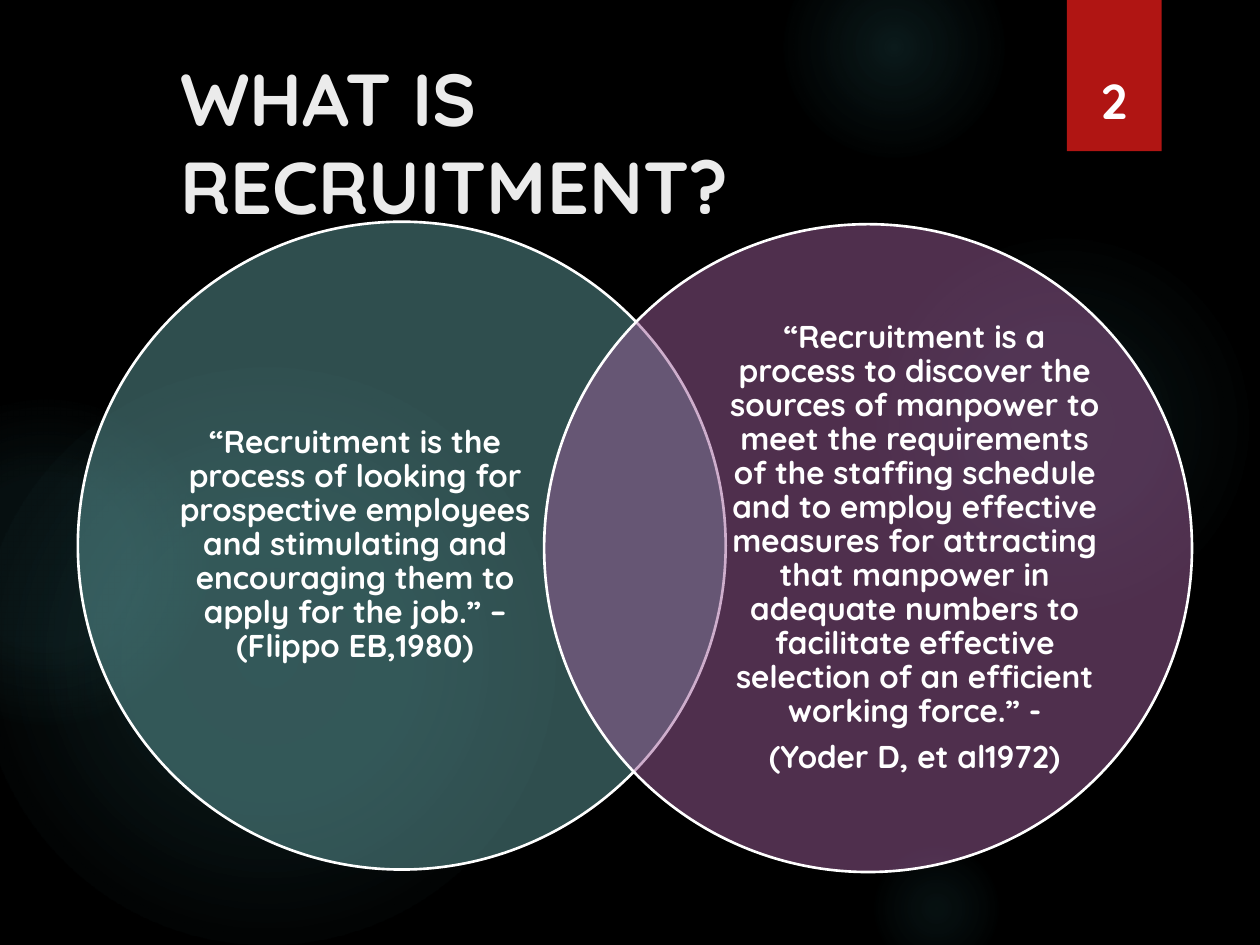
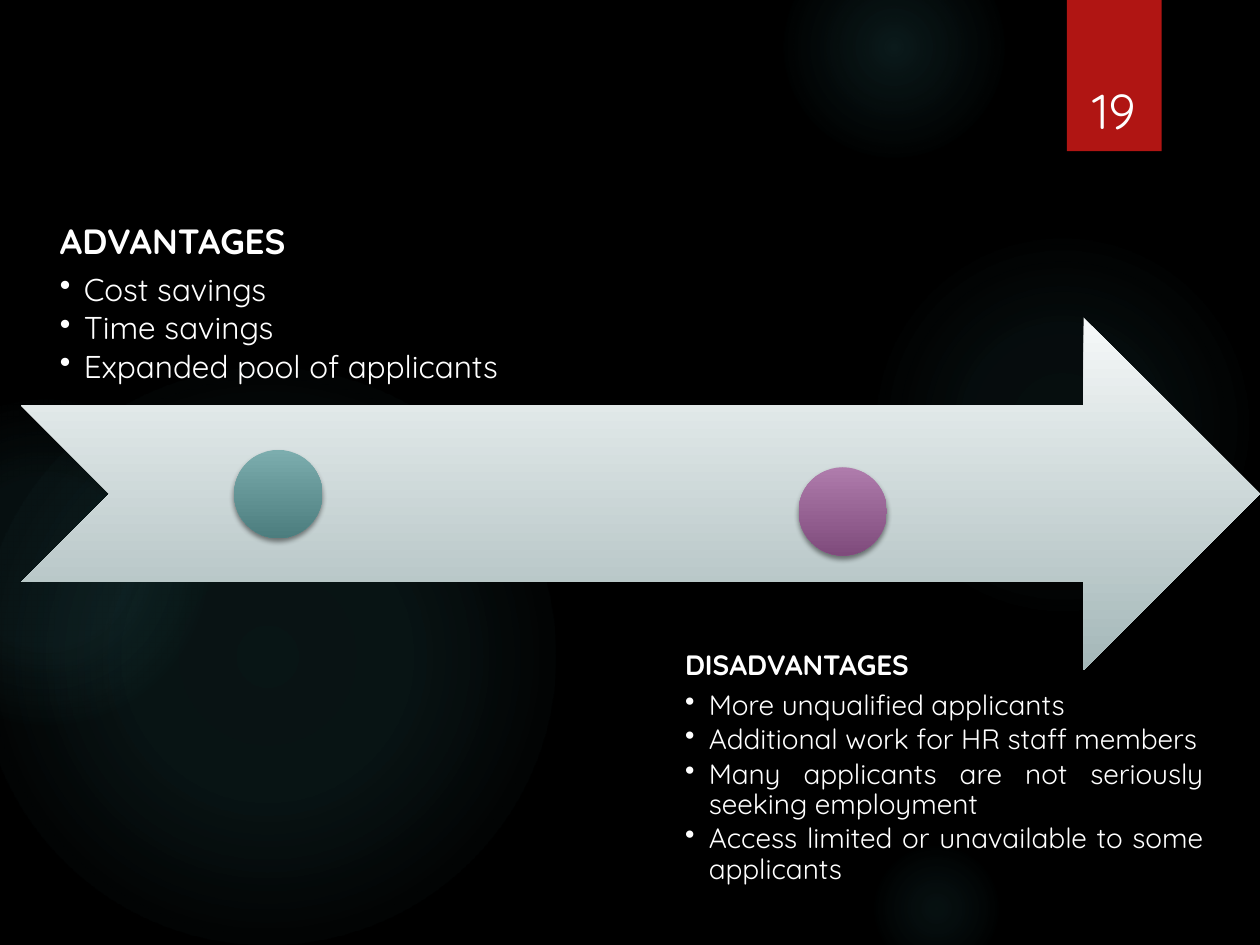
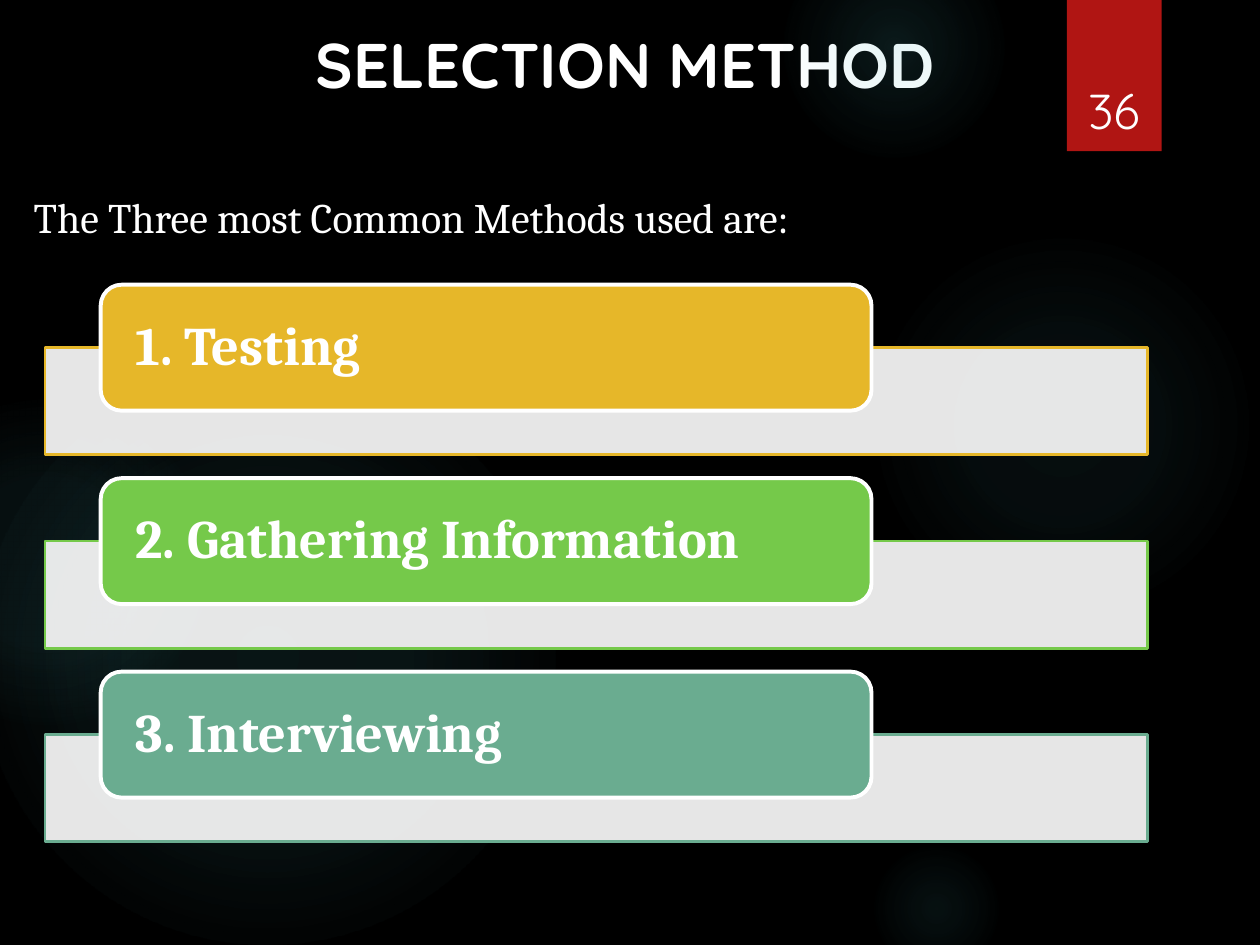
from lxml.etree import SubElement
from pptx import Presentation
from pptx.dml.color import RGBColor
from pptx.enum.shapes import MSO_SHAPE as Preset
from pptx.enum.text import MSO_ANCHOR as Anchor, MSO_AUTO_SIZE as AutoSize, PP_ALIGN as Align
from pptx.oxml.ns import qn
from pptx.util import Cm, Pt

SANS, SERIF = "Quicksand", "Cambria"
WHITE, BLACK, TITLE_GREY = "FFFFFF", "000000", "EBEBEB"
RED, GLOW = "B01513", "50B9C1"
TEAL, PLUM = "5F9C9D", "9E5E9B"
TITLE_ONLY, BLANK = 5, 6

# left, top, diameter, then (position, opacity) stops in percent
GLOWS = [
    (17.5, 4.65, 7.82, [(0, 7), (36, 6), (69, 0)]),
    (15.8, -1.27, 4.45, [(0, 14), (36, 7), (73, 0)]),
    (17.5, 16.94, 2.74, [(0, 9), (36, 5), (66, 0)]),
    (-0.43, 7.42, 11.63, [(0, 11), (36, 10), (75, 0)]),
    (-2.34, 8.05, 6.55, [(0, 8), (36, 8), (72, 0)]),
]


def rgb(color):
    return RGBColor.from_string(color)


def add_xml(parent, tag, **attributes):
    return SubElement(parent, qn(tag), {k: str(v) for k, v in attributes.items()})


def add_color(parent, color, opacity=100):
    element = add_xml(parent, "a:srgbClr", val=color)
    if opacity < 100:
        add_xml(element, "a:alpha", val=opacity * 1000)


# Shapes
def add_shape(slide, preset, box, fill=None, opacity=100, line=None, line_width=1.5):
    shape = slide.shapes.add_shape(preset, *map(Cm, box))
    shape.shadow.inherit = False
    if fill:
        shape.fill.solid()
        shape.fill.fore_color.rgb = rgb(fill)
        if opacity < 100:
            color = shape.fill._xPr.find(qn("a:solidFill"))[0]
            add_xml(color, "a:alpha", val=opacity * 1000)
    if line:
        shape.line.color.rgb = rgb(line)
        shape.line.width = Pt(line_width)
    else:
        shape.line.fill.background()
    return shape


def set_gradient(shape, stops, radial=False):
    """Fill with (position, color, opacity) stops, downwards or from the centre."""
    gradient = add_xml(shape._element.spPr, "a:gradFill", rotWithShape=1)
    stop_list = add_xml(gradient, "a:gsLst")
    for position, color, opacity in stops:
        add_color(add_xml(stop_list, "a:gs", pos=position * 1000), color, opacity)
    if radial:
        centre = add_xml(gradient, "a:path", path="circle")
        add_xml(centre, "a:fillToRect", l=50000, t=50000, r=50000, b=50000)
    else:
        add_xml(gradient, "a:lin", ang=5400000, scaled=0)
    shape._element.spPr.find(qn("a:prstGeom")).addnext(gradient)


def set_shadow(shape):
    effects = shape._element.spPr.find(qn("a:effectLst"))
    shadow = add_xml(effects, "a:outerShdw", blurRad=Pt(3), dist=Pt(2),
                     dir=5400000, rotWithShape=0)
    add_color(shadow, BLACK, 45)


def add_dot(slide, left, top, light, dark):
    dot = add_shape(slide, Preset.OVAL, (left, top, 1.78, 1.78))
    set_gradient(dot, [(0, light, 100), (100, dark, 100)])
    set_shadow(dot)


# Text
def format_frame(shape, anchor=Anchor.TOP, insets=(0.25, 0.13)):
    frame = shape.text_frame
    frame.word_wrap = True
    frame.auto_size = AutoSize.NONE
    frame.vertical_anchor = anchor
    frame.margin_left = frame.margin_right = Cm(insets[0])
    frame.margin_top = frame.margin_bottom = Cm(insets[1])
    return frame


def add_frame(slide, box, anchor=Anchor.TOP, insets=(0.25, 0.13)):
    return format_frame(slide.shapes.add_textbox(*map(Cm, box)), anchor, insets)


def write(frame, text, size, font=SANS, color=WHITE, bold=False, align=Align.LEFT,
          spacing=1.0, after=0.0, bullet=False):
    """Write one paragraph; after is a share of the text size."""
    paragraph = frame.paragraphs[0]
    if paragraph.runs:
        paragraph = frame.add_paragraph()
    if bullet:
        properties = paragraph._p.get_or_add_pPr()
        properties.set("marL", str(Cm(0.48)))
        properties.set("indent", str(-Cm(0.48)))
        add_xml(properties, "a:buChar", char="•")
    paragraph.alignment = align
    paragraph.line_spacing = spacing
    paragraph.space_after = Pt(round(size * after, 1))
    run = paragraph.add_run()
    run.text = text
    run.font.name, run.font.size, run.font.bold = font, Pt(size), bold
    run.font.color.rgb = rgb(color)


def add_title(slide, box, text, size, color=WHITE, align=Align.LEFT):
    title = slide.shapes.title
    title.left, title.top, title.width, title.height = map(Cm, box)
    write(format_frame(title), text, size, color=color, bold=True, align=align)


def add_list(slide, box, heading, items, size, heading_size, anchor, insets, align):
    frame = add_frame(slide, box, anchor, insets)
    write(frame, heading, heading_size, bold=True, spacing=0.9, after=0.35)
    for item in items:
        write(frame, item, size, align=align, spacing=0.9, after=0.15, bullet=True)


# Shared backdrop: glows, red band and slide number
def start_slide(presentation, layout, number, number_top=0.81, number_bold=False):
    slide = presentation.slides.add_slide(presentation.slide_layouts[layout])
    slide.background.fill.solid()
    slide.background.fill.fore_color.rgb = rgb(BLACK)
    for left, top, size, stops in GLOWS:
        glow = add_shape(slide, Preset.OVAL, (left, top, size, size))
        set_gradient(glow, [(at, GLOW, opacity) for at, opacity in stops], radial=True)
    set_shadow(add_shape(slide, Preset.RECTANGLE, (21.51, 0, 1.91, 3.05), RED))
    frame = add_frame(slide, (21.58, number_top, 1.75, 2.13), Anchor.BOTTOM)
    write(frame, number, 28, bold=number_bold, align=Align.CENTER)
    return slide


def build_definitions(presentation):
    slide = start_slide(presentation, TITLE_ONLY, "2", 0.61, True)
    add_title(slide, (3.38, 0.94, 17.27, 2.13), "WHAT IS RECRUITMENT?", 42, TITLE_GREY)
    quotes = [
        (1.57, 4.47, TEAL, 3.4, [
            "“Recruitment is the process of looking for prospective employees and "
            "stimulating and encouraging them to apply for the job.” – "
            "(Flippo EB,1980)"]),
        (10.97, 4.52, PLUM, 14.68, [
            "“Recruitment is a process to discover the sources of manpower to meet "
            "the requirements of the staffing schedule and to employ effective "
            "measures for attracting that manpower in adequate numbers to "
            "facilitate effective selection of an efficient working force.” -",
            "(Yoder D, et al1972)"]),
    ]
    for left, top, color, text_left, paragraphs in quotes:
        add_shape(slide, Preset.OVAL, (left, top, 13.06, 13.06), color, 50, WHITE)
        frame = add_frame(slide, (text_left, top + 1.54, 7.52, 9.98),
                          Anchor.MIDDLE, (0, 0))
        for text in paragraphs:
            write(frame, text, 18, bold=True, align=Align.CENTER,
                  spacing=0.9, after=0.35)


def build_pros_and_cons(presentation):
    slide = start_slide(presentation, BLANK, "19")
    arrow = add_shape(slide, Preset.NOTCHED_RIGHT_ARROW, (0.43, 6.4, 24.97, 7.11))
    set_gradient(arrow, [(0, "F6F9F9", 100), (100, "A4B7B8", 100)])
    add_list(slide, (0.43, 1.07, 13, 7.11), "ADVANTAGES",
             ["Cost savings", "Time savings", "Expanded pool of applicants"],
             18, 20, Anchor.BOTTOM, (0.78, 0.41), Align.LEFT)
    add_dot(slide, 4.72, 9.07, "7CADAE", "4C7D7E")
    add_list(slide, (13.13, 12.83, 11.81, 5.66), "DISADVANTAGES",
             ["More unqualified applicants",
              "Additional work for HR staff members",
              "Many applicants are not seriously seeking employment",
              "Access limited or unavailable to some applicants"],
             16, 16, Anchor.TOP, (0.68, 0.3), Align.JUSTIFY)
    add_dot(slide, 16.1, 9.42, "AF7CAC", "7F4B7C")


def build_methods(presentation):
    slide = start_slide(presentation, TITLE_ONLY, "36")
    add_title(slide, (3.81, 0.38, 17.58, 1.8), "SELECTION METHOD", 36,
              align=Align.CENTER)
    intro = add_frame(slide, (0.43, 3.73, 22.66, 1.27))
    write(intro, "The Three most Common Methods used are:", 24, SERIF)
    methods = [("1. Testing", "E6B729"), ("2. Gathering Information", "75C94A"),
               ("3. Interviewing", "6AAC90")]
    for row, (text, color) in enumerate(methods):
        top = 5.74 + row * 3.9
        add_shape(slide, Preset.RECTANGLE, (0.91, top + 1.27, 22.23, 2.16),
                  WHITE, 90, color)
        label = add_shape(slide, Preset.ROUNDED_RECTANGLE, (2.03, top, 15.54, 2.54),
                          color, line=WHITE, line_width=2.25)
        # The preset's text area already starts 0.12 cm inside its edges
        frame = format_frame(label, Anchor.MIDDLE, (0.58, 0))
        write(frame, text, 31, SERIF, bold=True, spacing=0.9)


def main():
    presentation = Presentation()
    presentation.slide_width, presentation.slide_height = Cm(25.4), Cm(19.05)
    build_definitions(presentation)
    build_pros_and_cons(presentation)
    build_methods(presentation)
    presentation.save("out.pptx")


if __name__ == "__main__":
    main()
